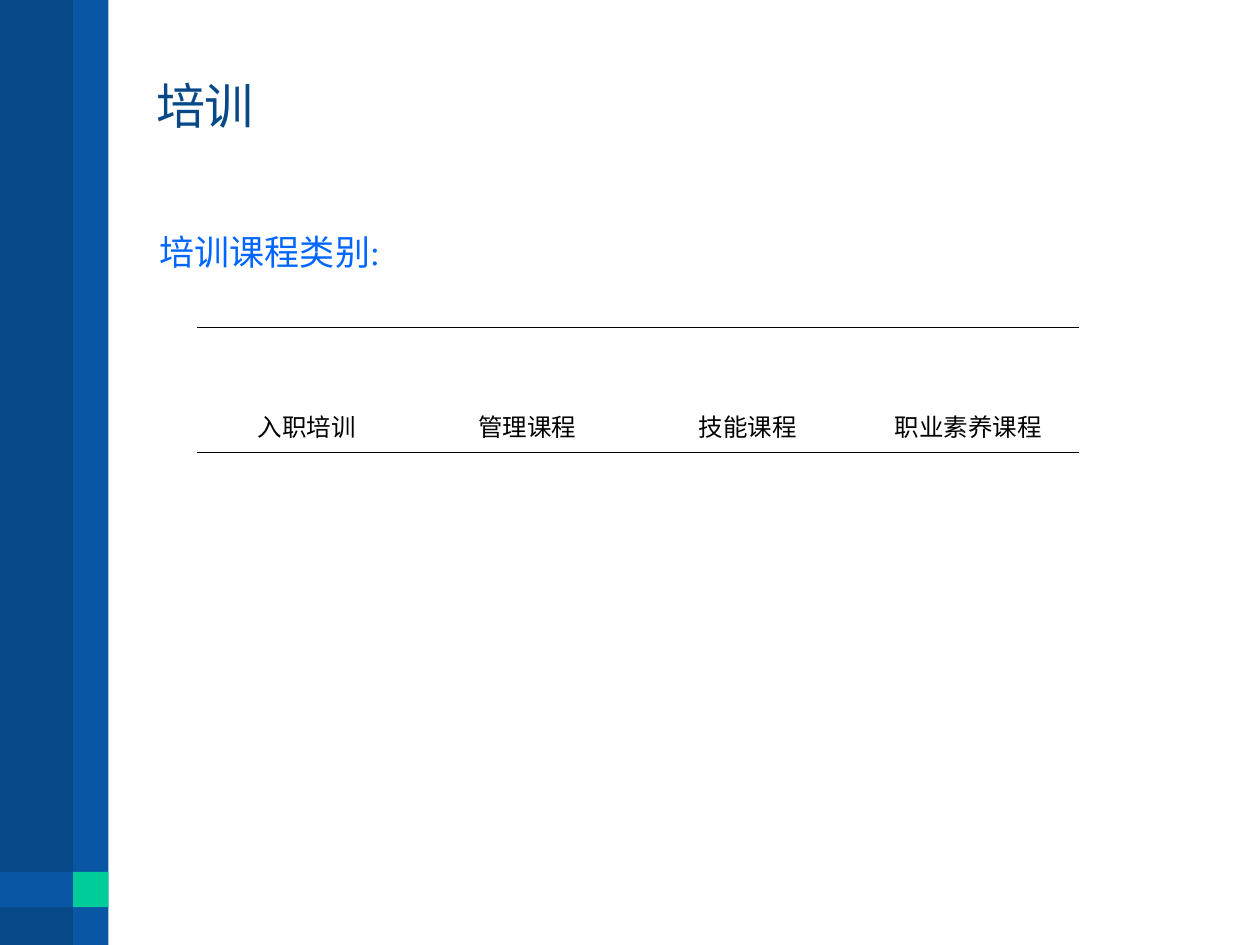
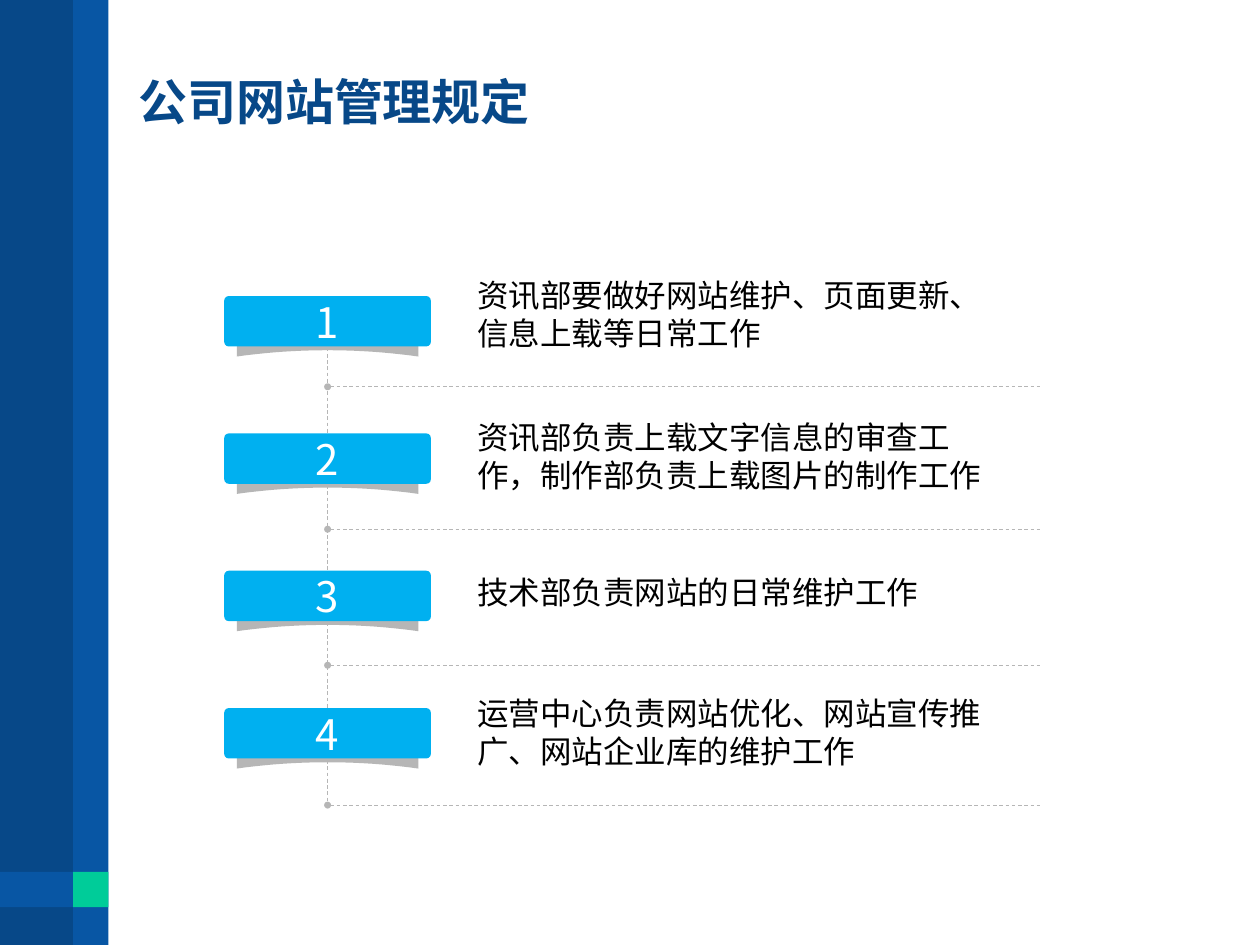
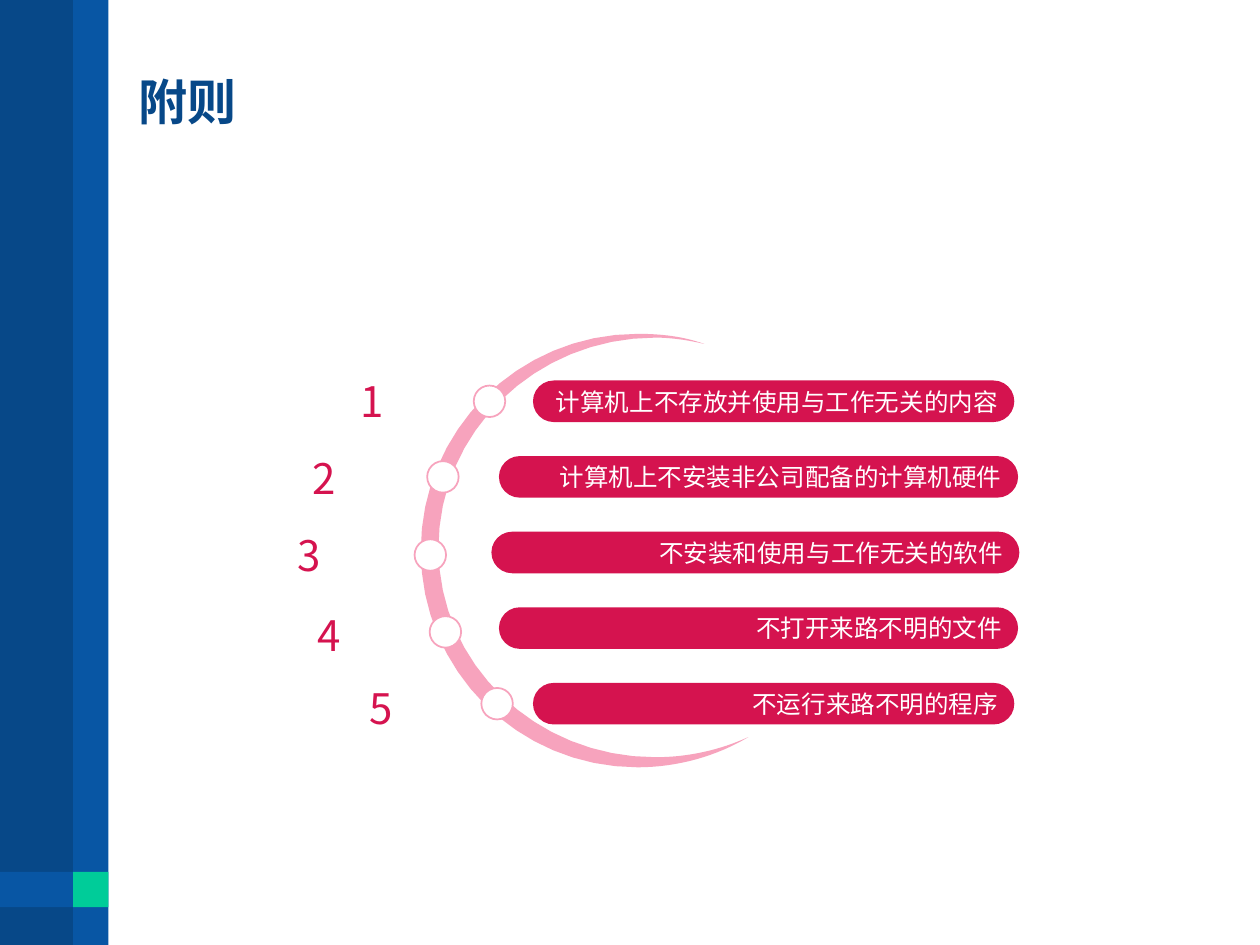
from lxml.etree import SubElement
from pptx import Presentation
from pptx.dml.color import RGBColor
from pptx.enum.dml import MSO_LINE
from pptx.enum.shapes import MSO_CONNECTOR, MSO_SHAPE
from pptx.enum.text import MSO_ANCHOR, PP_ALIGN
from pptx.oxml.ns import qn
from pptx.util import Inches, Pt

NAVY = RGBColor(0x07, 0x48, 0x88)
BLUE = RGBColor(0x08, 0x56, 0xA4)
GREEN = RGBColor(0x00, 0xCC, 0x99)
LINK_BLUE = RGBColor(0x00, 0x66, 0xFF)
SKY = RGBColor(0x00, 0xB0, 0xF0)
GRAY = RGBColor(0xB6, 0xB6, 0xB6)
CRIMSON = RGBColor(0xD5, 0x13, 0x4F)
PINK = RGBColor(0xF7, 0xA3, 0xBD)
BLACK = RGBColor(0, 0, 0)
WHITE = RGBColor(255, 255, 255)

SANS = "Noto Sans CJK SC"
TABLE_FONT = "Noto Sans CJK TC"
NO_TABLE_STYLE = "{2D5ABB26-0587-4C30-8999-92F81FD0307C}"

# left, top, width, height, colour
BANDS = [
    (0, 0, 0.83, 7.5, NAVY),
    (0.58, 0, 0.28, 7.5, BLUE),
    (0, 6.92, 0.83, 0.28, BLUE),
    (0.58, 6.92, 0.28, 0.28, GREEN),
]
COURSES = ["入职培训", "管理课程", "技能课程", "职业素养课程"]

# divider height, rule
WEBSITE_RULES = [
    (3.07, "资讯部要做好网站维护、页面更新、信息上载等日常工作"),
    (4.2, "资讯部负责上载文字信息的审查工作，制作部负责上载图片的制作工作"),
    (5.28, "技术部负责网站的日常维护工作"),
    (6.39, "运营中心负责网站优化、网站宣传推广、网站企业库的维护工作"),
]
AXIS_X = 2.6

# number left and top, dot left and top, bar left and width, rule
COMPUTER_RULES = [
    (2.16, 2.98, 3.76, 3.06, 4.23, 3.82, "计算机上不存放并使用与工作无关的内容"),
    (1.78, 3.59, 3.39, 3.66, 3.96, 4.12, "计算机上不安装非公司配备的计算机硬件"),
    (1.66, 4.2, 3.29, 4.28, 3.9, 4.19, "不安装和使用与工作无关的软件"),
    (1.82, 4.84, 3.41, 4.89, 3.96, 4.12, "不打开来路不明的文件"),
    (2.23, 5.42, 3.82, 5.46, 4.23, 3.82, "不运行来路不明的程序"),
]
# start point, then two control points and an end point for each curve
CRESCENT = [
    (5.06, 6.09),
    (4.11, 6.09), (3.34, 5.32), (3.34, 4.37),
    (3.34, 3.42), (4.11, 2.65), (5.06, 2.65),
    (5.25, 2.65), (5.42, 2.67), (5.59, 2.73),
    (5.46, 2.7), (5.33, 2.68), (5.2, 2.68),
    (4.25, 2.68), (3.48, 3.43), (3.48, 4.35),
    (3.48, 5.27), (4.25, 6.01), (5.2, 6.01),
    (5.47, 6.01), (5.72, 5.95), (5.94, 5.85),
    (5.69, 6), (5.38, 6.09), (5.06, 6.09),
]


def write(tf, text, size, color, font=SANS, bold=False, align=PP_ALIGN.LEFT, spacing=None):
    tf.text = text
    tf.vertical_anchor = MSO_ANCHOR.MIDDLE
    p = tf.paragraphs[0]
    p.alignment = align
    p.line_spacing = spacing
    p._p.get_or_add_pPr().set("hangingPunct", "0")
    r = p.runs[0]
    r.font.size, r.font.bold, r.font.name = Pt(size), bold, font
    r.font.color.rgb = color
    ea = SubElement(r.font._element, qn("a:ea"))
    ea.set("typeface", font if font == TABLE_FONT else SANS)


def add_text(slide, box, *args, **style):
    s = slide.shapes.add_textbox(*map(Inches, box))
    s.text_frame.word_wrap = True
    write(s.text_frame, *args, **style)


def paint(s, fill, line=None):
    s.shadow.inherit = False
    s.fill.solid()
    s.fill.fore_color.rgb = fill
    if line is None:
        s.line.fill.background()
    else:
        s.line.color.rgb = line
        s.line.width = Pt(1)


def add_shape(slide, kind, box, fill, line=None, corner=None):
    s = slide.shapes.add_shape(kind, *map(Inches, box))
    paint(s, fill, line)
    if corner is not None:
        s.adjustments[0] = corner
    return s


def add_outline(slide, points, fill):
    start, *rest = [(Inches(x), Inches(y)) for x, y in points]
    builder = slide.shapes.build_freeform(*start)
    builder.add_line_segments(rest, close=True)
    paint(builder.convert_to_shape(), fill)


def add_dashed(slide, x1, y1, x2, y2, dot=False):
    s = slide.shapes.add_connector(MSO_CONNECTOR.STRAIGHT, *map(Inches, (x1, y1, x2, y2)))
    s.line.color.rgb = GRAY
    s.line.width = Pt(0.5)
    s.line.dash_style = MSO_LINE.DASH
    if dot:
        SubElement(s.line._get_or_add_ln(), qn("a:headEnd"), type="oval", w="sm", len="sm")
    SubElement(s._element.spPr, qn("a:effectLst"))


def add_border(cell, side):
    ln = SubElement(cell._tc.get_or_add_tcPr(), qn(f"a:ln{side}"), w=str(Pt(0.45)))
    SubElement(SubElement(ln, qn("a:solidFill")), qn("a:srgbClr")).set("val", str(BLACK))


def flatten_curves(points, steps=16):
    """Turn a chain of cubic curves into short straight segments."""
    flat = [points[0]]
    for i in range(0, len(points) - 1, 3):
        curve = points[i:i + 4]
        for k in range(1, steps + 1):
            t = k / steps
            weights = ((1 - t) ** 3, 3 * t * (1 - t) ** 2, 3 * t * t * (1 - t), t ** 3)
            flat.append(tuple(sum(w * pt[axis] for w, pt in zip(weights, curve))
                              for axis in (0, 1)))
    return flat


def badge_shadow(top, half=0.72, steps=10):
    """Points of the curled strip that hangs below a badge."""
    arc = [(AXIS_X + half * k / steps, top + 0.15 + 0.05 * (k / steps) ** 2)
           for k in range(steps, -steps - 1, -1)]
    return arc + [(AXIS_X - half, top + 0.05), (AXIS_X, top), (AXIS_X + half, top + 0.05)]


def new_slide(prs):
    slide = prs.slides.add_slide(prs.slide_layouts[6])
    for *box, color in BANDS:
        add_shape(slide, MSO_SHAPE.RECTANGLE, box, color)
    return slide


def add_bold_title(slide, text):
    add_text(slide, (1, 0.09, 8.63, 1.45), text, 28, NAVY, font="Arial", bold=True,
             spacing=Pt(32))


def training_slide(prs):
    slide = new_slide(prs)
    add_text(slide, (1.17, 1.78, 2.07, 0.44), "培训课程类别:", 20, LINK_BLUE,
             font="Times New Roman")
    box = map(Inches, (1.56, 2.6, 7, 0.98))
    table = slide.shapes.add_table(2, len(COURSES), *box).table
    table.first_row = table.horz_banding = False
    table._tbl.tblPr.find(qn("a:tableStyleId")).text = NO_TABLE_STYLE
    table.rows[0].height, table.rows[1].height = Inches(0.57), Inches(0.42)
    for col, course in enumerate(COURSES):
        top, bottom = table.cell(0, col), table.cell(1, col)
        write(bottom.text_frame, course, 14, BLACK, font=TABLE_FONT, align=PP_ALIGN.CENTER)
        bottom.vertical_anchor = MSO_ANCHOR.MIDDLE
        for cell, side in ((top, "T"), (bottom, "B")):
            add_border(cell, side)
            cell.fill.background()
    add_text(slide, (1.14, 0.21, 9, 1.25), "培训", 28, NAVY)


def website_slide(prs):
    slide = new_slide(prs)
    add_bold_title(slide, "公司网站管理规定")
    add_dashed(slide, AXIS_X, 2.71, AXIS_X, WEBSITE_RULES[-1][0])
    for i, (divider, rule) in enumerate(WEBSITE_RULES):
        top = 2.35 + 1.09 * i
        add_outline(slide, badge_shadow(top + 0.28), GRAY)
        s = add_shape(slide, MSO_SHAPE.ROUNDED_RECTANGLE, (1.78, top, 1.64, 0.4), SKY,
                      corner=0.09)
        write(s.text_frame, str(i + 1), 24, WHITE, align=PP_ALIGN.CENTER)
        s.text_frame.word_wrap = False
        add_dashed(slide, AXIS_X, divider, 8.27, divider, dot=True)
        add_text(slide, (3.69, divider - 0.81, 4.41, 0.46), rule, 18, BLACK)


def computer_slide(prs):
    slide = new_slide(prs)
    add_bold_title(slide, "附则")
    add_outline(slide, flatten_curves(CRESCENT), PINK)
    for i, (num_x, num_y, dot_x, dot_y, bar_x, bar_w, rule) in enumerate(COMPUTER_RULES):
        add_shape(slide, MSO_SHAPE.OVAL, (dot_x, dot_y, 0.25, 0.25), WHITE, line=PINK)
        add_text(slide, (num_x, num_y, 1.59, 0.36), str(i + 1), 24, CRIMSON,
                 align=PP_ALIGN.CENTER, spacing=1.1)
        bar = add_shape(slide, MSO_SHAPE.ROUNDED_RECTANGLE,
                        (bar_x, 3.02 + 0.6 * i, bar_w, 0.33), CRIMSON, corner=0.5)
        tf = bar.text_frame
        tf.margin_left = tf.margin_right = Inches(0.08)
        write(tf, rule, 14, WHITE, align=PP_ALIGN.RIGHT)


def main():
    prs = Presentation()
    prs.slide_width, prs.slide_height = Inches(10), Inches(7.5)
    training_slide(prs)
    website_slide(prs)
    computer_slide(prs)
    prs.save("out.pptx")


if __name__ == "__main__":
    main()
